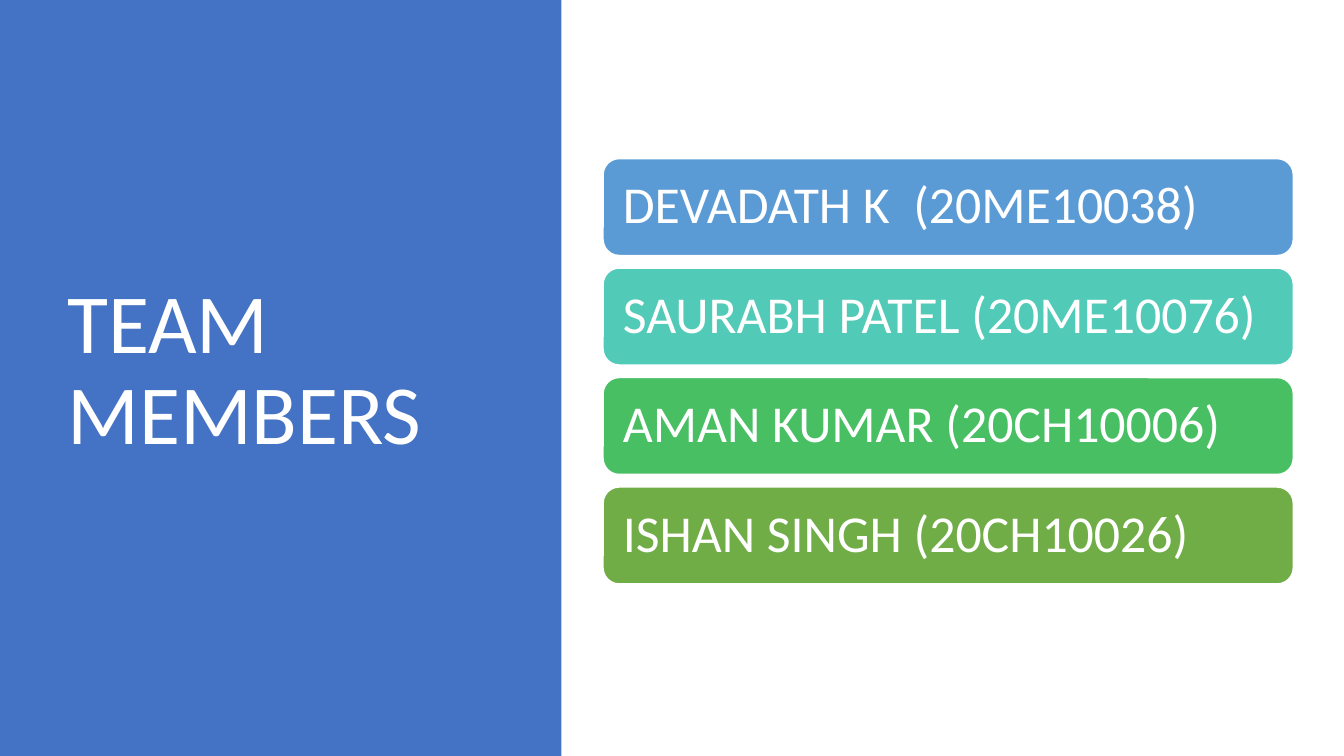
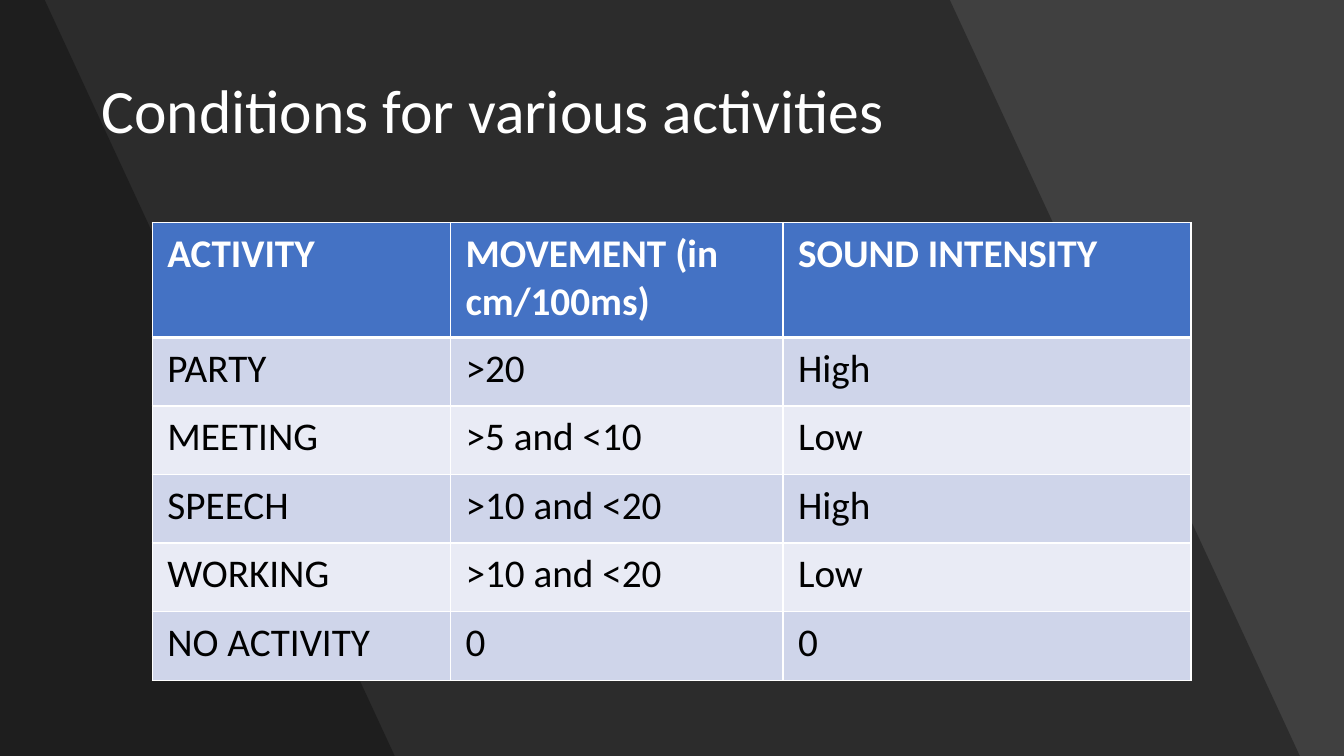
from lxml.etree import SubElement
from pptx import Presentation
from pptx.dml.color import RGBColor
from pptx.enum.shapes import MSO_SHAPE as Preset
from pptx.enum.text import MSO_ANCHOR as Anchor, PP_ALIGN as Align
from pptx.oxml.ns import qn
from pptx.util import Pt

WHITE = RGBColor(0xFF, 0xFF, 0xFF)
BLACK = RGBColor(0x00, 0x00, 0x00)
CHARCOAL = RGBColor(0x40, 0x40, 0x40)
BLUE = RGBColor(0x44, 0x72, 0xC4)
SKY = RGBColor(0x5B, 0x9B, 0xD5)
TEAL = RGBColor(0x52, 0xCA, 0xB8)
GREEN = RGBColor(0x49, 0xBF, 0x64)
OLIVE = RGBColor(0x70, 0xAD, 0x47)
BAND_DARK = RGBColor(0xCF, 0xD5, 0xEA)
BAND_LIGHT = RGBColor(0xE9, 0xEB, 0xF5)

WIDTH, HEIGHT = 960, 540
FONT = "Calibri"
TITLE_FRAME = {"word_wrap": True, "vertical_anchor": Anchor.MIDDLE}
BAR_FRAME = TITLE_FRAME | {
    f"margin_{side}": Pt(10.8) for side in ("left", "top", "right", "bottom")
}
CELL_MARGINS = {
    "margin_left": Pt(10.8), "margin_right": Pt(10.8),
    "margin_top": Pt(5.4), "margin_bottom": Pt(5.4),
}


def write_text(frame, text, size, color, frame_format, bold=False, spacing=0.9):
    for name, value in frame_format.items():
        setattr(frame, name, value)
    paragraph = frame.paragraphs[0]
    paragraph.alignment = Align.LEFT
    paragraph.line_spacing = spacing
    run = paragraph.add_run()
    run.text = text
    run.font.color.rgb = color
    for name, value in {"name": FONT, "size": Pt(size), "bold": bold}.items():
        setattr(run.font, name, value)


def paint(shape, fill, line=None):
    shape.shadow.inherit = False
    shape.fill.solid()
    shape.fill.fore_color.rgb = fill
    if line is None:
        shape.line.fill.background()
    else:
        shape.line.color.rgb = line
        shape.line.width = Pt(1)


presentation = Presentation()
presentation.slide_width = Pt(WIDTH)
presentation.slide_height = Pt(HEIGHT)
blank = presentation.slide_layouts[6]
team_slide, activity_slide = [presentation.slides.add_slide(blank) for _ in range(2)]

for slide, background in ((team_slide, WHITE), (activity_slide, CHARCOAL)):
    slide.background.fill.solid()
    slide.background.fill.fore_color.rgb = background

panel = team_slide.shapes.add_shape(Preset.RECTANGLE, 0, 0, Pt(401), Pt(HEIGHT))
paint(panel, BLUE)

for top_edge, bottom_edge in ((678.5, 928.5), (32, 282)):
    builder = activity_slide.shapes.build_freeform(0, 0)
    builder.add_line_segments(
        [(Pt(top_edge), 0), (Pt(bottom_edge), Pt(HEIGHT)), (0, Pt(HEIGHT))], close=True
    )
    slope = builder.convert_to_shape()
    paint(slope, BLACK)
    fill_color = slope.element.spPr.find(qn("a:solidFill")).find(qn("a:srgbClr"))
    SubElement(fill_color, qn("a:alpha"), val="30000")

for slide, text, size, box in (
    (team_slide, "TEAM MEMBERS", 60, (41, 49, 299.5, 433.5)),
    (activity_slide, "Conditions for various activities", 44, (65.5, 28.8, 828.5, 104.4)),
):
    title = slide.shapes.add_textbox(*map(Pt, box))
    write_text(title.text_frame, text, size, WHITE, TITLE_FRAME)

BAR_TOP, BAR_HEIGHT, BAR_GAP = 113.3, 69.2, 9
MEMBERS = (
    ("DEVADATH K  (20ME10038)", SKY),
    ("SAURABH PATEL (20ME10076)", TEAL),
    ("AMAN KUMAR (20CH10006)", GREEN),
    ("ISHAN SINGH (20CH10026)", OLIVE),
)
for index, (member, color) in enumerate(MEMBERS):
    top = BAR_TOP + index * (BAR_HEIGHT + BAR_GAP)
    bar = team_slide.shapes.add_shape(
        Preset.ROUNDED_RECTANGLE, Pt(430.8), Pt(top), Pt(493), Pt(BAR_HEIGHT)
    )
    paint(bar, color, WHITE)
    write_text(bar.text_frame, member, 37, WHITE, BAR_FRAME)

COLUMN_WIDTHS = (213, 237.5, 291.5)
ROW_HEIGHTS = (82,) + (49,) * 5
ROWS = (
    ("ACTIVITY", "MOVEMENT (in cm/100ms)", "SOUND INTENSITY"),
    ("PARTY", ">20", "High"),
    ("MEETING", ">5 and <10", "Low"),
    ("SPEECH", ">10 and <20", "High"),
    ("WORKING", ">10 and <20", "Low"),
    ("NO ACTIVITY", "0", "0"),
)
table = activity_slide.shapes.add_table(
    len(ROWS), len(COLUMN_WIDTHS), Pt(108.8), Pt(159),
    Pt(sum(COLUMN_WIDTHS)), Pt(sum(ROW_HEIGHTS)),
).table
for column, width in zip(table.columns, COLUMN_WIDTHS):
    column.width = Pt(width)

for row_index, (row, height, texts) in enumerate(zip(table.rows, ROW_HEIGHTS, ROWS)):
    row.height = Pt(height)
    header = row_index == 0
    band = BLUE if header else (BAND_LIGHT, BAND_DARK)[row_index % 2]
    for cell, text in zip(row.cells, texts):
        for name, value in CELL_MARGINS.items():
            setattr(cell, name, value)
        write_text(cell.text_frame, text, 28, WHITE if header else BLACK, {}, header, 1.0)
        properties = cell._tc.get_or_add_tcPr()
        for side in ("L", "R", "T", "B"):
            thick = (header and side == "B") or (row_index == 1 and side == "T")
            border = SubElement(properties, qn(f"a:ln{side}"), w=str(Pt(3 if thick else 1)))
            border_fill = SubElement(border, qn("a:solidFill"))
            SubElement(border_fill, qn("a:srgbClr"), val=str(WHITE))
        cell.fill.solid()
        cell.fill.fore_color.rgb = band

presentation.save("out.pptx")
